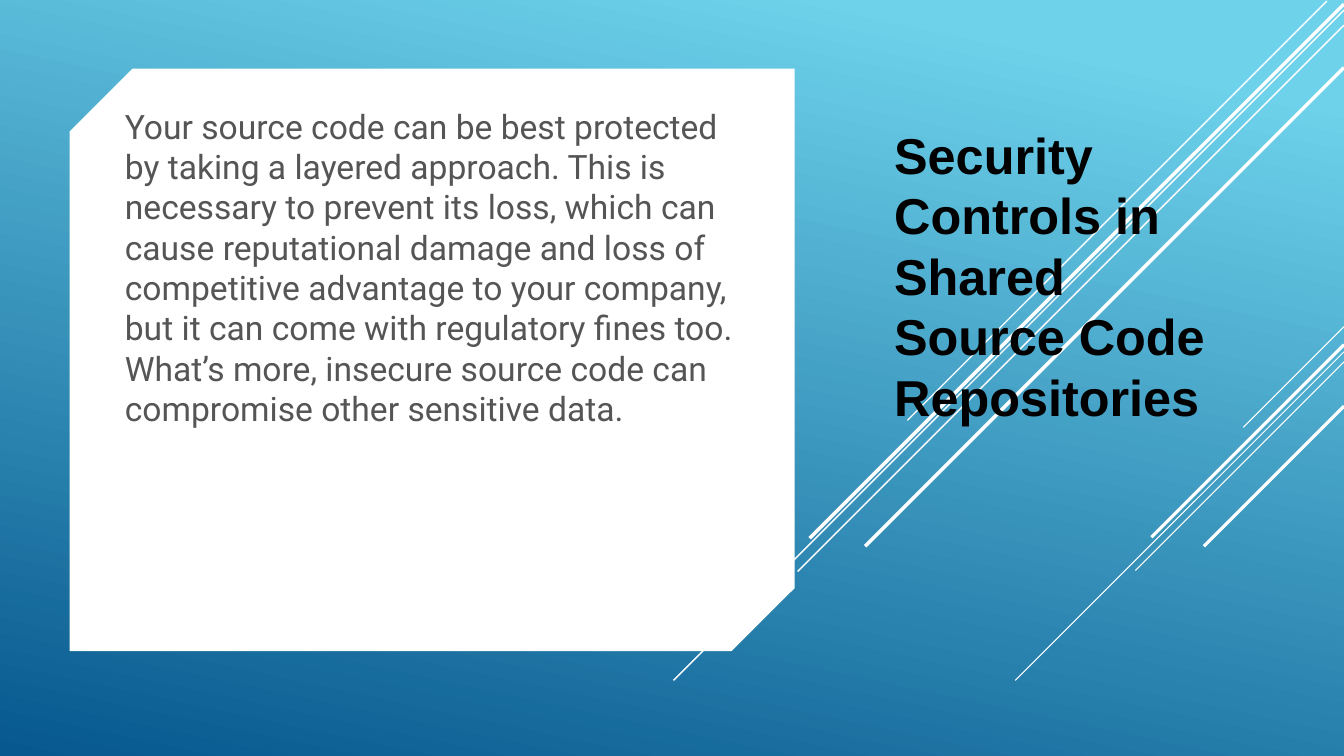
from dataclasses import dataclass

from lxml.etree import SubElement
from pptx import Presentation
from pptx.dml.color import RGBColor
from pptx.enum.shapes import MSO_CONNECTOR as Connector, MSO_SHAPE as Shape
from pptx.enum.text import MSO_ANCHOR as Anchor, PP_ALIGN as Align
from pptx.oxml.ns import qn
from pptx.slide import Slide
from pptx.util import Inches, Pt


@dataclass(frozen=True)
class Theme:
    sky: RGBColor = RGBColor(0x6E, 0xD2, 0xEB)
    deep: RGBColor = RGBColor(0x06, 0x58, 0x8E)
    white: RGBColor = RGBColor(0xFF, 0xFF, 0xFF)
    title: RGBColor = RGBColor(0x00, 0x00, 0x00)
    body: RGBColor = RGBColor(0x55, 0x55, 0x55)
    title_font: str = "Arial"
    body_font: str = "Roboto"
    title_size: float = 36
    body_size: float = 24
    leading: float = 1.2


@dataclass(frozen=True)
class Streak:
    """A 45-degree line running down and left from (right, top)."""
    right: float
    top: float
    run: float
    weight: float


@dataclass(frozen=True)
class TextBlock:
    text: str
    left: float
    top: float
    width: float
    height: float
    font: str
    size: float
    color: RGBColor
    bold: bool = False


THEME = Theme()
WIDTH, HEIGHT = 13.33, 7.5

UPPER_STREAKS = [
    Streak(13.16, 0.01, 4.16, 1),
    Streak(WIDTH, 0.1, 6.65, 1),
    Streak(WIDTH, 0.25, 5.42, 1),
    Streak(WIDTH, 0.04, 5.3, 2.5),
    Streak(WIDTH, 0.67, 4.75, 2.5),
]
LOWER_STREAKS = [
    Streak(WIDTH, 3.24, 1, 0.75),
    Streak(WIDTH, 3.49, 3.26, 0.75),
    Streak(WIDTH, 3.59, 2.07, 0.75),
    Streak(WIDTH, 3.42, 1.91, 2.25),
    Streak(WIDTH, 4.03, 1.39, 2.25),
]
TEXT_BLOCKS = [
    TextBlock("Security Controls in Shared Source Code Repositories",
              8.77, 1.18, 3.47, 3.13,
              THEME.title_font, THEME.title_size, THEME.title, bold=True),
    TextBlock("Your source code can be best protected by taking a layered "
              "approach. This is necessary to prevent its loss, which can "
              "cause reputational damage and loss of competitive advantage "
              "to your company, but it can come with regulatory fines too. "
              "What’s more, insecure source code can compromise other "
              "sensitive data.",
              1.14, 1, 6.35, 3.33,
              THEME.body_font, THEME.body_size, THEME.body),
]


def paint_background(slide: Slide) -> None:
    fill = slide.background.fill
    fill.gradient()
    fill.gradient_angle = 258
    stops = [(0.1, THEME.sky), (1, THEME.deep)]
    for stop, (position, color) in zip(fill.gradient_stops, stops):
        stop.position = position
        stop.color.rgb = color


def draw_streaks(slide: Slide, streaks: list[Streak]) -> None:
    for streak in streaks:
        line = slide.shapes.add_connector(
            Connector.STRAIGHT,
            Inches(streak.right), Inches(streak.top),
            Inches(streak.right - streak.run), Inches(streak.top + streak.run))
        line.line.color.rgb = THEME.white
        line.line.width = Pt(streak.weight)
        SubElement(line._element.spPr, qn("a:effectLst"))


def draw_panel(slide: Slide) -> None:
    panel = slide.shapes.add_shape(
        Shape.SNIP_2_DIAG_RECTANGLE,
        Inches(0.69), Inches(0.68), Inches(7.19), Inches(5.78))
    panel.adjustments[0] = 0.108
    panel.adjustments[1] = 0
    panel.shadow.inherit = False
    panel.fill.solid()
    panel.fill.fore_color.rgb = THEME.white
    panel.line.fill.background()


def add_text(slide: Slide, block: TextBlock) -> None:
    box = slide.shapes.add_textbox(Inches(block.left), Inches(block.top),
                                   Inches(block.width), Inches(block.height))
    frame = box.text_frame
    frame.word_wrap = True
    frame.vertical_anchor = Anchor.TOP
    paragraph = frame.paragraphs[0]
    paragraph.alignment = Align.LEFT
    paragraph.line_spacing = Pt(block.size * THEME.leading)
    run = paragraph.add_run()
    run.text = block.text
    run.font.name = block.font
    run.font.size = Pt(block.size)
    run.font.bold = block.bold
    run.font.color.rgb = block.color


def main() -> None:
    presentation = Presentation()
    presentation.slide_width = Inches(WIDTH)
    presentation.slide_height = Inches(HEIGHT)
    slide = presentation.slides.add_slide(presentation.slide_layouts[6])
    paint_background(slide)
    draw_streaks(slide, UPPER_STREAKS)
    draw_panel(slide)
    draw_streaks(slide, LOWER_STREAKS)
    for block in TEXT_BLOCKS:
        add_text(slide, block)
    presentation.save("out.pptx")


if __name__ == "__main__":
    main()
